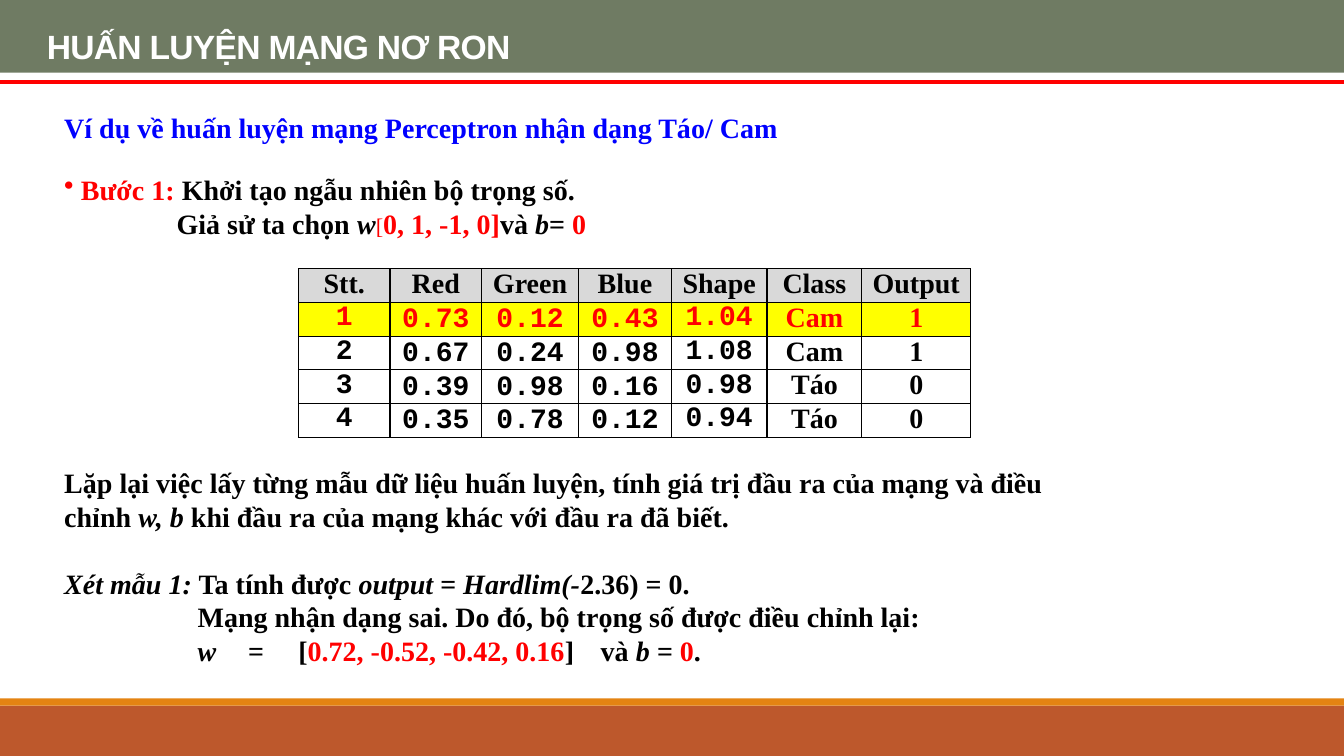
from dataclasses import dataclass, field
from typing import Any

import pptx
import pptx.dml.color
import pptx.enum.shapes
import pptx.enum.text
import pptx.util
from lxml import etree
from pptx.oxml import ns

Cm = pptx.util.Cm
Pt = pptx.util.Pt
Align = pptx.enum.text.PP_ALIGN
Anchor = pptx.enum.text.MSO_ANCHOR


@dataclass(frozen=True)
class Theme:
    black: str = "000000"
    white: str = "FFFFFF"
    red: str = "FF0000"
    blue: str = "0000FF"
    sage: str = "6F7B63"
    rust: str = "BD582C"
    orange: str = "E48312"
    gray: str = "D9D9D9"
    yellow: str = "FFFF00"
    serif: str = "Times New Roman"
    mono: str = "Courier New"
    sans: str = "Arial"
    body: int = 20
    small: int = 16
    head: int = 24


THEME = Theme()


@dataclass(frozen=True)
class Bit:
    text: str
    color: str = THEME.black
    italic: bool = False
    bold: bool = True
    size: int = THEME.body
    font: str = THEME.serif


@dataclass(frozen=True)
class Para:
    bits: list[Bit]
    left: float = 0
    first: float = 0
    before: float = 0
    bullet: str = ""
    tabs: list[float] = field(default_factory=list)


@dataclass(frozen=True)
class Block:
    box: tuple[float, float, float, float]
    paras: list[Para]
    anchor: Any = Anchor.TOP


@dataclass(frozen=True)
class Bar:
    top: float
    height: float
    color: str


WIDTH, HEIGHT = 33.87, 19.05
BARS = [Bar(17.78, 1.27, THEME.rust), Bar(17.6, 0.18, THEME.orange)]
TITLE = Bit("HUẤN LUYỆN MẠNG NƠ RON", THEME.white, size=THEME.head, font=THEME.sans)
INDENT = 3.36

BLOCKS = [
    Block((1.37, 2.67, 21.51, 1.12), [
        Para([Bit("Ví dụ về huấn luyện mạng Perceptron nhận dạng Táo/ Cam", THEME.blue)]),
    ]),
    Block((1.37, 4.22, 23.06, 1.96), [
        Para([Bit("Bước 1: ", THEME.red), Bit("Khởi tạo ngẫu nhiên bộ trọng số.")],
             left=0.42, first=-0.42, bullet="•"),
        Para([Bit("Giả sử ta chọn "), Bit("w", italic=True),
              Bit("[", THEME.red, bold=False, size=THEME.small),
              Bit("0, 1, -1, 0]", THEME.red), Bit("và "), Bit("b", italic=True),
              Bit("= "), Bit("0", THEME.red)], left=2.83),
    ]),
    Block((1.37, 11.58, 26.34, 5.38), [
        Para([Bit("Lặp lại việc lấy từng mẫu dữ liệu huấn luyện, tính giá trị "
                  "đầu ra của mạng và điều chỉnh "), Bit("w, b", italic=True),
              Bit(" khi đầu ra của mạng khác với đầu ra đã biết.")]),
        Para([Bit("Xét mẫu 1:", italic=True), Bit(" Ta tính được "),
              Bit("output = Hardlim(-", italic=True), Bit("2.36) = 0.")], before=24),
        Para([Bit("Mạng nhận dạng sai. Do đó, bộ trọng số được điều chỉnh lại:")],
             left=INDENT),
        Para([Bit("w\t=\t", italic=True), Bit("["),
              Bit("0.72, -0.52, -0.42, 0.16", THEME.red), Bit("]\tvà "),
              Bit("b = ", italic=True), Bit("0", THEME.red), Bit(".")],
             left=INDENT, tabs=[4.12, 4.87, 15.88]),
    ], Anchor.MIDDLE),
]

COLS = [2.31, 2.31, 2.44, 2.34, 2.41, 2.39, 2.74]
ROW = 0.85
ROWS = [
    ["Stt.", "Red", "Green", "Blue", "Shape", "Class", "Output"],
    ["1", "0.73", "0.12", "0.43", "1.04", "Cam", "1"],
    ["2", "0.67", "0.24", "0.98", "1.08", "Cam", "1"],
    ["3", "0.39", "0.98", "0.16", "0.98", "Táo", "0"],
    ["4", "0.35", "0.78", "0.12", "0.94", "Táo", "0"],
]
FILLS = {0: THEME.gray, 1: THEME.yellow}


def tint(color: str) -> pptx.dml.color.RGBColor:
    return pptx.dml.color.RGBColor.from_string(color)


def apply(item: Any, form: dict[str, Any]) -> None:
    """Set each named attribute of the item."""
    for name, value in form.items():
        setattr(item, name, value)


def paint(item: Any, color: str) -> None:
    item.fill.solid()
    item.fill.fore_color.rgb = tint(color)


def child(node: Any, tag: str, **attrs: str) -> Any:
    return etree.SubElement(node, ns.qn(tag), attrs)


def write(line: Any, bit: Bit) -> Any:
    run = line.add_run()
    run.text = bit.text
    apply(run.font, {"name": bit.font, "size": Pt(bit.size),
                     "bold": bit.bold, "italic": bit.italic})
    run.font.color.rgb = tint(bit.color)
    return run


def fill_para(line: Any, para: Para) -> None:
    props = line._p.get_or_add_pPr()
    props.set("marL", str(Cm(para.left)))
    props.set("indent", str(Cm(para.first)))
    if para.bullet:
        child(props, "a:buChar", char=para.bullet)
    if para.tabs:
        stops = child(props, "a:tabLst")
        for stop in para.tabs:
            child(stops, "a:tab", pos=str(Cm(stop)), algn="l")
    if para.before:
        line.space_before = Pt(para.before)
    for bit in para.bits:
        write(line, bit)


def add_block(slide: Any, block: Block) -> None:
    frame = slide.shapes.add_textbox(*map(Cm, block.box)).text_frame
    apply(frame, {"word_wrap": True, "vertical_anchor": block.anchor})
    for i, para in enumerate(block.paras):
        fill_para(frame.add_paragraph() if i else frame.paragraphs[0], para)


def add_bar(slide: Any, bar: Bar) -> None:
    shape = slide.shapes.add_shape(pptx.enum.shapes.MSO_SHAPE.RECTANGLE,
                                   0, Cm(bar.top), Cm(WIDTH), Cm(bar.height))
    shape.shadow.inherit = False
    paint(shape, bar.color)
    shape.line.fill.background()


def set_title(slide: Any) -> None:
    title = slide.shapes.title
    apply(title, {"left": 0, "top": 0, "width": Cm(WIDTH), "height": Cm(1.83)})
    paint(title, THEME.sage)
    frame = title.text_frame
    apply(frame, {"margin_left": Cm(1.18), "vertical_anchor": Anchor.MIDDLE,
                  "auto_size": pptx.enum.text.MSO_AUTO_SIZE.NONE})
    line = frame.paragraphs[0]
    apply(line, {"alignment": Align.LEFT, "line_spacing": 1.5})
    write(line, TITLE).font._element.set("spc", "-50")


def add_rule(slide: Any) -> None:
    rule = slide.shapes.add_connector(pptx.enum.shapes.MSO_CONNECTOR.STRAIGHT,
                                      0, Cm(2.06), Cm(WIDTH), Cm(2.06))
    rule.line.color.rgb = tint(THEME.red)
    rule.line.width = Pt(3)
    child(rule._element.spPr, "a:effectLst")


def frame_cell(cell: Any) -> None:
    """Draw a thin border on all four sides."""
    props = cell._tc.get_or_add_tcPr()
    for side in ("L", "R", "T", "B"):
        edge = child(props, f"a:ln{side}", w=str(Pt(1)))
        child(child(edge, "a:solidFill"), "a:srgbClr", val=THEME.black)


def add_grid(slide: Any) -> None:
    grid = slide.shapes.add_table(len(ROWS), len(COLS), Cm(7.52), Cm(6.77),
                                  Cm(sum(COLS)), Cm(ROW * len(ROWS))).table
    apply(grid, {"first_row": False, "horz_banding": False})
    for col, width in zip(grid.columns, COLS):
        col.width = Cm(width)
    for r, words in enumerate(ROWS):
        grid.rows[r].height = Cm(ROW)
        for c, word in enumerate(words):
            cell = grid.cell(r, c)
            low = r > 0 and 1 <= c <= 3
            apply(cell, {"margin_left": Cm(0.18), "margin_right": Cm(0.18),
                         "margin_top": 0, "margin_bottom": 0,
                         "vertical_anchor": Anchor.BOTTOM if low else Anchor.TOP})
            frame_cell(cell)
            if r in FILLS:
                paint(cell, FILLS[r])
            else:
                cell.fill.background()
            line = cell.text_frame.paragraphs[0]
            line.alignment = Align.CENTER
            write(line, Bit(word, THEME.red if r == 1 else THEME.black,
                            font=THEME.mono if r and c < 5 else THEME.serif))


def main() -> None:
    deck = pptx.Presentation()
    apply(deck, {"slide_width": Cm(WIDTH), "slide_height": Cm(HEIGHT)})
    slide = deck.slides.add_slide(deck.slide_layouts.get_by_name("Title Only"))
    for bar in BARS:
        add_bar(slide, bar)
    for block in BLOCKS:
        add_block(slide, block)
    add_grid(slide)
    set_title(slide)
    add_rule(slide)
    deck.save("out.pptx")


if __name__ == "__main__":
    main()
